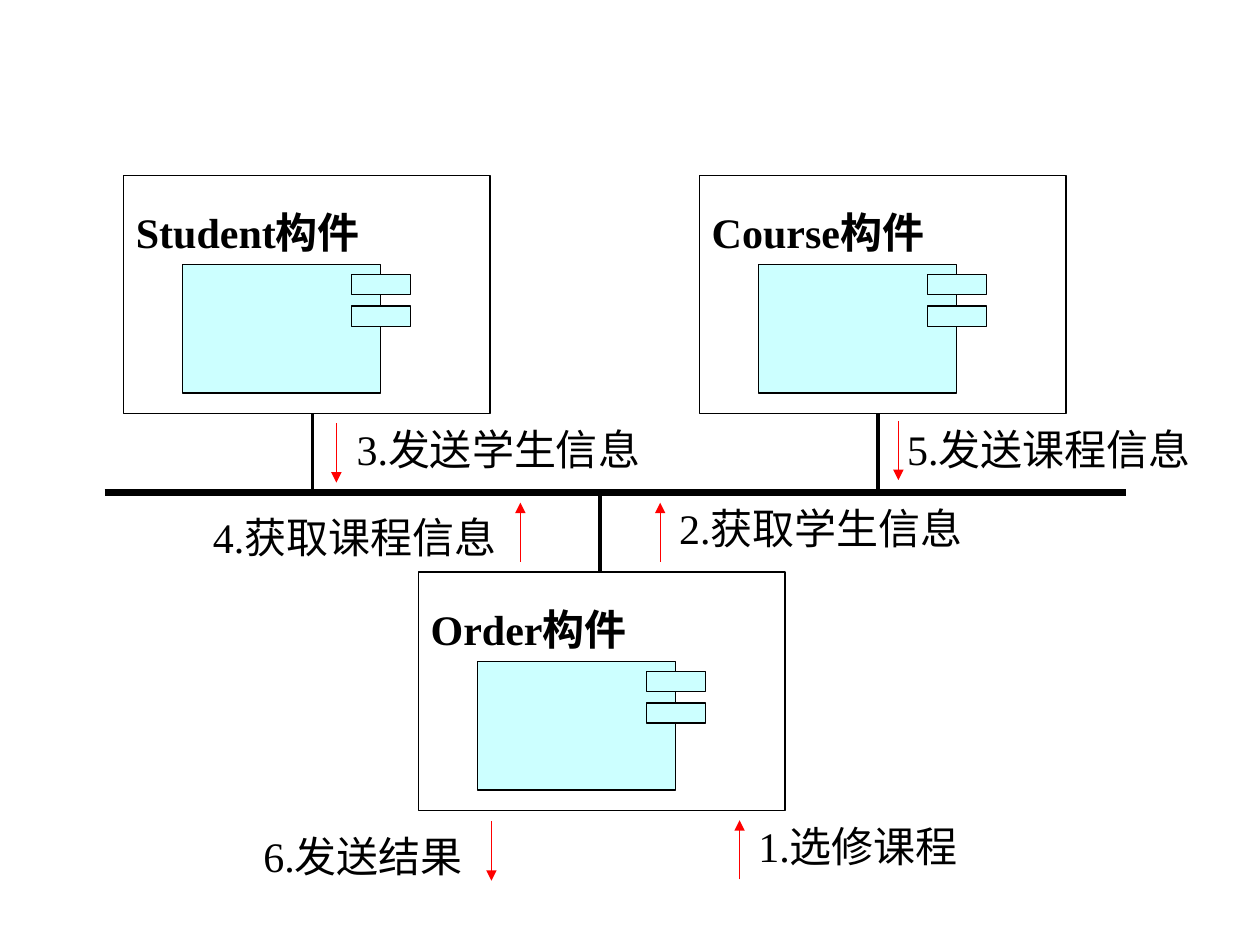
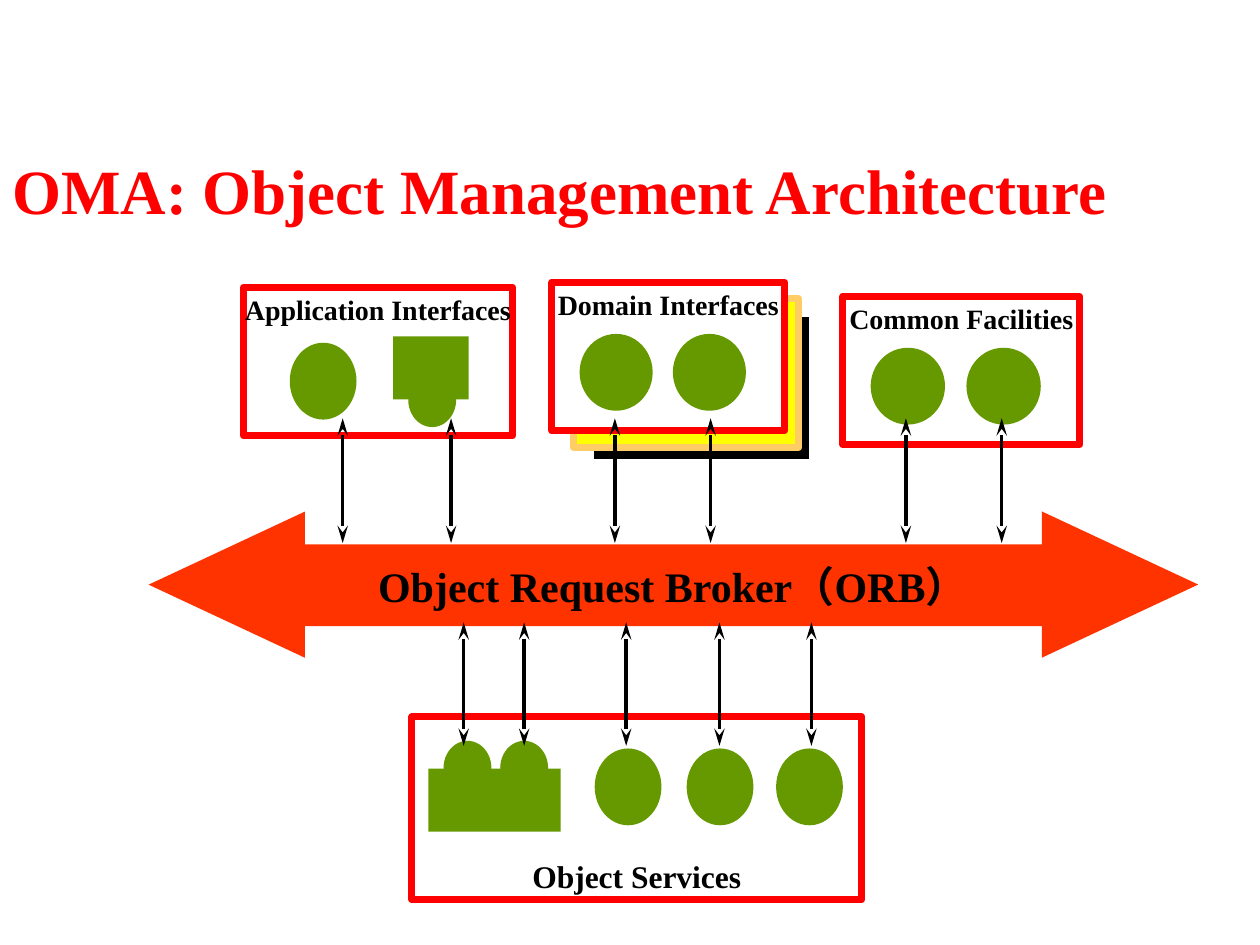
from lxml import etree
from pptx import Presentation
from pptx.dml.color import RGBColor
from pptx.enum.shapes import MSO_CONNECTOR, MSO_SHAPE
from pptx.enum.text import MSO_ANCHOR, PP_ALIGN
from pptx.oxml.ns import qn
from pptx.util import Inches, Pt

RECTANGLE = MSO_SHAPE.RECTANGLE
OVAL = MSO_SHAPE.OVAL
TRIANGLE = MSO_SHAPE.ISOSCELES_TRIANGLE
STRAIGHT = MSO_CONNECTOR.STRAIGHT
TOP, MIDDLE, BOTTOM = MSO_ANCHOR.TOP, MSO_ANCHOR.MIDDLE, MSO_ANCHOR.BOTTOM
LEFT, CENTER = PP_ALIGN.LEFT, PP_ALIGN.CENTER

FONT = "Times New Roman"
BLACK = RGBColor(0x00, 0x00, 0x00)
WHITE = RGBColor(0xFF, 0xFF, 0xFF)
RED = RGBColor(0xFF, 0x00, 0x00)
PALE_CYAN = RGBColor(0xCC, 0xFF, 0xFF)
ORANGE_RED = RGBColor(0xFF, 0x33, 0x00)
GREEN = RGBColor(0x66, 0x99, 0x00)
YELLOW = RGBColor(0xFF, 0xFF, 0x00)
SAND = RGBColor(0xFF, 0xCC, 0x66)

COMPONENT_SIZE = (2.91, 1.89)
PANEL_INSETS = (0.08, 0.04, 0.08, 0.04)


def write_text(shape, text, size, color=BLACK, bold=False, align=LEFT,
               anchor=TOP, insets=(0, 0, 0, 0), wrap=True):
    """Write one run of text into a shape."""
    frame = shape.text_frame
    frame.word_wrap = wrap
    frame.vertical_anchor = anchor
    (frame.margin_left, frame.margin_top,
     frame.margin_right, frame.margin_bottom) = map(Inches, insets)
    paragraph = frame.paragraphs[0]
    paragraph.alignment = align
    run = paragraph.add_run()
    run.text = text
    run.font.name = FONT
    run.font.size = Pt(size)
    run.font.bold = bold
    run.font.color.rgb = color


def add_text(slide, box, text, size, **style):
    """Add a text box."""
    write_text(slide.shapes.add_textbox(*map(Inches, box)), text, size, **style)


def add_block(slide, kind, box, fill=None, line=None, weight=0.75):
    """Add a flat preset shape, without fill or outline unless given."""
    shape = slide.shapes.add_shape(kind, *map(Inches, box))
    shape.shadow.inherit = False
    if fill is None:
        shape.fill.background()
    else:
        shape.fill.solid()
        shape.fill.fore_color.rgb = fill
    if line is None:
        shape.line.fill.background()
    else:
        shape.line.color.rgb = line
        shape.line.width = Pt(weight)
    return shape


def add_line(slide, start, end, color, weight, heads=(), **head_style):
    """Add a straight line, with arrowheads at the named ends."""
    line = slide.shapes.add_connector(STRAIGHT, *map(Inches, (*start, *end)))
    line.line.color.rgb = color
    line.line.width = Pt(weight)
    properties = line._element.spPr
    for head in heads:
        etree.SubElement(properties.find(qn("a:ln")), qn(f"a:{head}"), head_style)
    etree.SubElement(properties, qn("a:effectLst"))


def add_component(slide, left, top, name):
    """Draw a named frame holding a component symbol."""
    frame = add_block(slide, RECTANGLE, (left, top, *COMPONENT_SIZE), WHITE, BLACK)
    write_text(frame, name, 24, bold=True, insets=(0.1, 0.25, 0.1, 0.05))
    symbol = [(0.47, 0.71, 1.57, 1.02), (1.81, 0.79, 0.47, 0.16),
              (1.81, 1.04, 0.47, 0.16)]
    for x, y, width, height in symbol:
        add_block(slide, RECTANGLE, (left + x, top + y, width, height),
                  PALE_CYAN, BLACK)


def add_message(slide, box, text, arrow_x, arrow_top, upward):
    """Label a message and draw its direction arrow."""
    ends = [(arrow_x, arrow_top), (arrow_x, arrow_top + 0.47)]
    start, end = reversed(ends) if upward else ends
    add_line(slide, start, end, RED, 0.75, ["tailEnd"], type="triangle")
    add_text(slide, box, text, 24)


def build_component_slide(slide):
    """Show three components exchanging messages over a bus."""
    bus_y = 3.91
    add_line(slide, (0.83, bus_y), (8.94, bus_y), BLACK, 4)
    components = [(0.98, 1.39, "Student构件"), (5.55, 1.39, "Course构件"),
                  (3.32, 4.54, "Order构件")]
    for component in components:
        add_component(slide, *component)
    for x, edge_y in [(2.48, 3.28), (6.97, 3.28), (4.76, 4.54)]:
        add_line(slide, (x, edge_y), (x, bus_y), BLACK, 2)
    messages = [
        ((6.02, 6.51, 1.73, 0.4), "1.选修课程", 5.87, 6.51, True),
        ((5.39, 3.99, 2.6, 0.4), "2.获取学生信息", 5.24, 3.99, True),
        ((2.83, 3.36, 2.6, 0.4), "3.发送学生信息", 2.67, 3.36, False),
        ((1.69, 4.06, 2.28, 0.8), "4.获取课程信息", 4.13, 3.99, True),
        ((7.2, 3.36, 2.6, 0.4), "5.发送课程信息", 7.13, 3.34, False),
        ((2.09, 6.59, 1.65, 0.8), "6.发送结果", 3.9, 6.52, False),
    ]
    for message in messages:
        add_message(slide, *message)


def add_broker(slide, left, top):
    """Draw the broker as a wide double arrow."""
    for x, rotation in [(0, 270), (7.09, 90)]:
        tip = add_block(slide, TRIANGLE, (left + x, top, 1.16, 1.24), ORANGE_RED)
        tip.rotation = rotation
    bar = add_block(slide, RECTANGLE, (left + 1.18, top + 0.3, 5.88, 0.65), ORANGE_RED)
    write_text(bar, "Object Request Broker（ORB）", 24, bold=True, align=CENTER,
               anchor=MIDDLE, insets=PANEL_INSETS, wrap=False)


def add_panel(slide, box, name, parts, size=16, anchor=TOP):
    """Draw a red-framed panel with its green parts placed inside."""
    left, top = box[:2]
    panel = add_block(slide, RECTANGLE, box, WHITE, RED, 4)
    write_text(panel, name, size, bold=True, align=CENTER, anchor=anchor,
               insets=PANEL_INSETS, wrap=False)
    for kind, x, y, width, height in parts:
        add_block(slide, kind, (left + x, top + y, width, height), GREEN)


def build_architecture_slide(slide):
    """Show the broker linking interfaces, facilities and services."""
    add_text(slide, (0, 1.15, 9.57, 0.7), "OMA: Object Management Architecture", 36,
             color=RED, bold=True, insets=(0.1, 0.05, 0.1, 0.05))
    add_broker(slide, 1.22, 4.02)
    services = [(OVAL, x, 0.25, 0.53, 0.61) for x in (1.45, 2.18, 2.89)]
    services.append((RECTANGLE, 0.13, 0.41, 1.05, 0.5))
    services += [(OVAL, x, 0.19, 0.38, 0.43) for x in (0.25, 0.7)]
    add_panel(slide, (3.27, 5.69, 3.57, 1.45), "Object Services", services, 18, BOTTOM)
    add_panel(slide, (1.93, 2.28, 2.14, 1.18), "Application Interfaces",
              [(OVAL, 0.37, 0.44, 0.53, 0.61), (RECTANGLE, 1.19, 0.39, 0.6, 0.5),
               (OVAL, 1.31, 0.68, 0.38, 0.43)])
    add_block(slide, RECTANGLE, (4.69, 2.49, 1.76, 1.18), BLACK, WHITE, 4)
    add_block(slide, RECTANGLE, (4.55, 2.37, 1.79, 1.18), YELLOW, SAND, 4)
    add_panel(slide, (4.38, 2.24, 1.85, 1.18), "Domain Interfaces",
              [(OVAL, x, 0.41, 0.58, 0.61) for x in (0.22, 0.96)])
    add_panel(slide, (6.69, 2.35, 1.88, 1.18), "Common Facilities",
              [(OVAL, x, 0.41, 0.59, 0.61) for x in (0.22, 0.98)])
    links = [(3.32, 4.31, (2.72, 3.58, 4.88, 5.64, 7.19, 7.95)),
             (4.94, 5.92, (3.68, 4.16, 4.97, 5.71, 6.44))]
    for top, bottom, columns in links:
        for x in columns:
            add_line(slide, (x, top), (x, bottom), BLACK, 2,
                     ["headEnd", "tailEnd"], type="stealth", w="med", len="lg")


def main():
    """Build both slides and save the presentation."""
    presentation = Presentation()
    presentation.slide_width = Inches(10)
    presentation.slide_height = Inches(7.5)
    blank = presentation.slide_layouts[6]
    for build in (build_component_slide, build_architecture_slide):
        build(presentation.slides.add_slide(blank))
    presentation.save("out.pptx")


if __name__ == "__main__":
    main()
